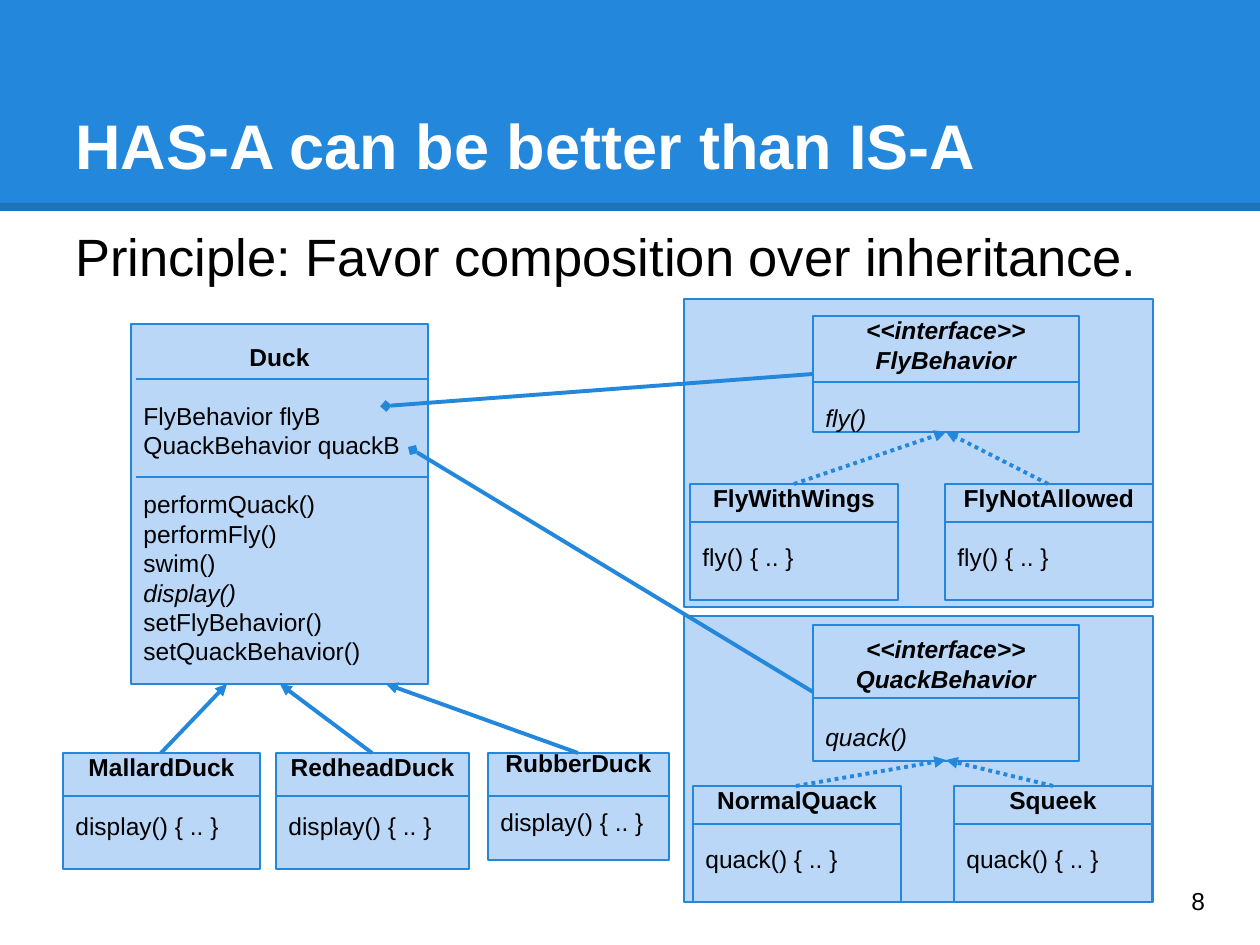
from lxml.etree import SubElement
from pptx import Presentation
from pptx.dml.color import RGBColor
from pptx.enum.dml import MSO_LINE as Dash
from pptx.enum.shapes import MSO_CONNECTOR as Connector, MSO_SHAPE as Shape
from pptx.enum.text import MSO_ANCHOR as Anchor, PP_ALIGN as Align
from pptx.oxml.ns import qn
from pptx.util import Emu, Pt

SCALE = 914400 / 126  # EMU in one px
COLORS = {"blue": "2388DB", "pale": "BBD7F8", "edge": "1E74BA",
          "white": "FFFFFF", "black": "000000"}
LINE_GAP = Pt(16.8)  # one line of 14 pt text
INSET = Emu(91440)

deck = Presentation()
deck.slide_width, deck.slide_height = Emu(int(1260 * SCALE)), Emu(int(945 * SCALE))
page = deck.slides.add_slide(deck.slide_layouts[6])


def add_line(start, end, width=1.5, color="blue", head=None, tail=None, dotted=False):
    """Draw a line; head marks its start and tail marks its end."""
    points = [Emu(int(value * SCALE)) for value in (*start, *end)]
    link = page.shapes.add_connector(Connector.STRAIGHT, *points)
    link.line.width = Pt(width)
    link.line.color.rgb = RGBColor.from_string(COLORS[color])
    if dotted:
        link.line.dash_style = Dash.ROUND_DOT
    outline = link.line._get_or_add_ln()
    for tag, kind in (("a:headEnd", head), ("a:tailEnd", tail)):
        if kind:
            SubElement(outline, qn(tag), type=kind, w="med", len="med")
    SubElement(link._element.spPr, qn("a:effectLst"))


def add_span(para, text, size=14, color="black", bold=False, italic=False):
    span = para.add_run()
    span.text = text
    span.font.name, span.font.size = "Arial", Pt(size)
    span.font.bold, span.font.italic = bold, italic
    span.font.color.rgb = RGBColor.from_string(COLORS[color])


# Title band and the two panels: place, fill, outline
areas = [
    ((0, 0, 1260, 211), "blue", None),
    ((684, 299, 469, 308), "pale", "blue"),
    ((684, 616, 469, 286), "pale", "blue"),
]
for place, fill, outline in areas:
    area = page.shapes.add_shape(Shape.RECTANGLE, *[Emu(int(v * SCALE)) for v in place])
    area.shadow.inherit = False
    area.fill.solid()
    area.fill.fore_color.rgb = RGBColor.from_string(COLORS[fill])
    if outline:
        area.line.color.rgb = RGBColor.from_string(COLORS[outline])
        area.line.width = Pt(1.5)
    else:
        area.line.fill.background()
add_line((0, 207), (1260, 207), 4.5, "edge")

# Title, principle and page number
captions = [
    ((63, 38, 1134, 157), "HAS-A can be better than IS-A", 36, "white", True, Anchor.BOTTOM),
    ((63, 211, 1134, 157), "Principle: Favor composition over inheritance.", 30, "black",
     False, Anchor.TOP),
    ((1179, 873, 76, 72), "8", 14, "black", False, Anchor.TOP),
]
for place, text, size, color, bold, anchor in captions:
    box = page.shapes.add_textbox(*[Emu(int(v * SCALE)) for v in place])
    frame = box.text_frame
    frame.word_wrap, frame.vertical_anchor = True, anchor
    frame.margin_left = frame.margin_right = frame.margin_top = frame.margin_bottom = INSET
    add_span(frame.paragraphs[0], text, size, color, bold)

# Class boxes: place, divider heights, heading lines, groups of members
interfaces = [
    ((813, 316, 266, 116), [382], ["<<interface>>", "FlyBehavior"], [["fly()"]]),
    ((813, 625, 266, 136), [698], ["<<interface>>", "QuackBehavior"], [["quack()"]]),
]
duck = ((131, 324, 297, 360), [379, 477], ["Duck"], [
    ["FlyBehavior flyB", "QuackBehavior quackB"],
    ["performQuack()", "performFly()", "swim()", "display()",
     "setFlyBehavior()", "setQuackBehavior()"],
])
subclasses = [
    ((690, 484, 208, 116), [522], ["FlyWithWings"], [["fly() { .. }"]]),
    ((945, 484, 208, 116), [522], ["FlyNotAllowed"], [["fly() { .. }"]]),
    ((693, 786, 208, 116), [824], ["NormalQuack"], [["quack() { .. }"]]),
    ((954, 786, 198, 116), [824], ["Squeek"], [["quack() { .. }"]]),
    ((63, 753, 197, 116), [796], ["MallardDuck"], [["display() { .. }"]]),
    ((276, 753, 193, 116), [796], ["RedheadDuck"], [["display() { .. }"]]),
    ((488, 753, 181, 107), [796], ["RubberDuck"], [["display() { .. }"]]),
]
for entry in [*interfaces, duck, *subclasses]:
    place, dividers, heading, groups = entry
    box = page.shapes.add_shape(Shape.RECTANGLE, *[Emu(int(v * SCALE)) for v in place])
    box.shadow.inherit = False
    box.fill.solid()
    box.fill.fore_color.rgb = RGBColor.from_string(COLORS["pale"])
    box.line.color.rgb = RGBColor.from_string(COLORS["blue"])
    box.line.width = Pt(1.5)
    frame = box.text_frame
    frame.word_wrap, frame.vertical_anchor = True, Anchor.MIDDLE
    frame.margin_left = frame.margin_right = frame.margin_top = frame.margin_bottom = INSET
    if entry in subclasses:  # room for one free line under the members
        frame.margin_bottom = INSET + LINE_GAP
    is_interface = entry in interfaces
    para = frame.paragraphs[0]
    for number, name in enumerate(heading):
        para = frame.add_paragraph() if number else para
        para.alignment = Align.CENTER
        add_span(para, name, bold=True, italic=is_interface)
    for group in groups:
        for number, member in enumerate(group):
            para = frame.add_paragraph()
            para.alignment = Align.LEFT
            if number == 0:
                para.space_before = LINE_GAP
            abstract = is_interface or member == "display()"
            add_span(para, member, italic=abstract)
    left, top, width, height = place
    indent = 5 if entry is duck else 0
    for divider in dividers:
        add_line((left + indent, divider), (left + width, divider))

# Implementations point at their interface
for start, end in [((794, 484), (946, 432)), ((1048, 484), (946, 432)),
                   ((796, 786), (946, 760)), ((1053, 786), (946, 760))]:
    add_line(start, end, 2.25, tail="triangle", dotted=True)

# Ducks inherit from Duck
for start, end in [((161, 753), (227, 684)), ((372, 753), (280, 684)),
                   ((578, 753), (386, 684))]:
    add_line(start, end, 2.25, tail="triangle")

# Duck is composed of two behaviors
for start, end in [((386, 406), (813, 374)), ((413, 450), (813, 692))]:
    add_line(start, end, 2.25, head="diamond")

deck.save("out.pptx")
